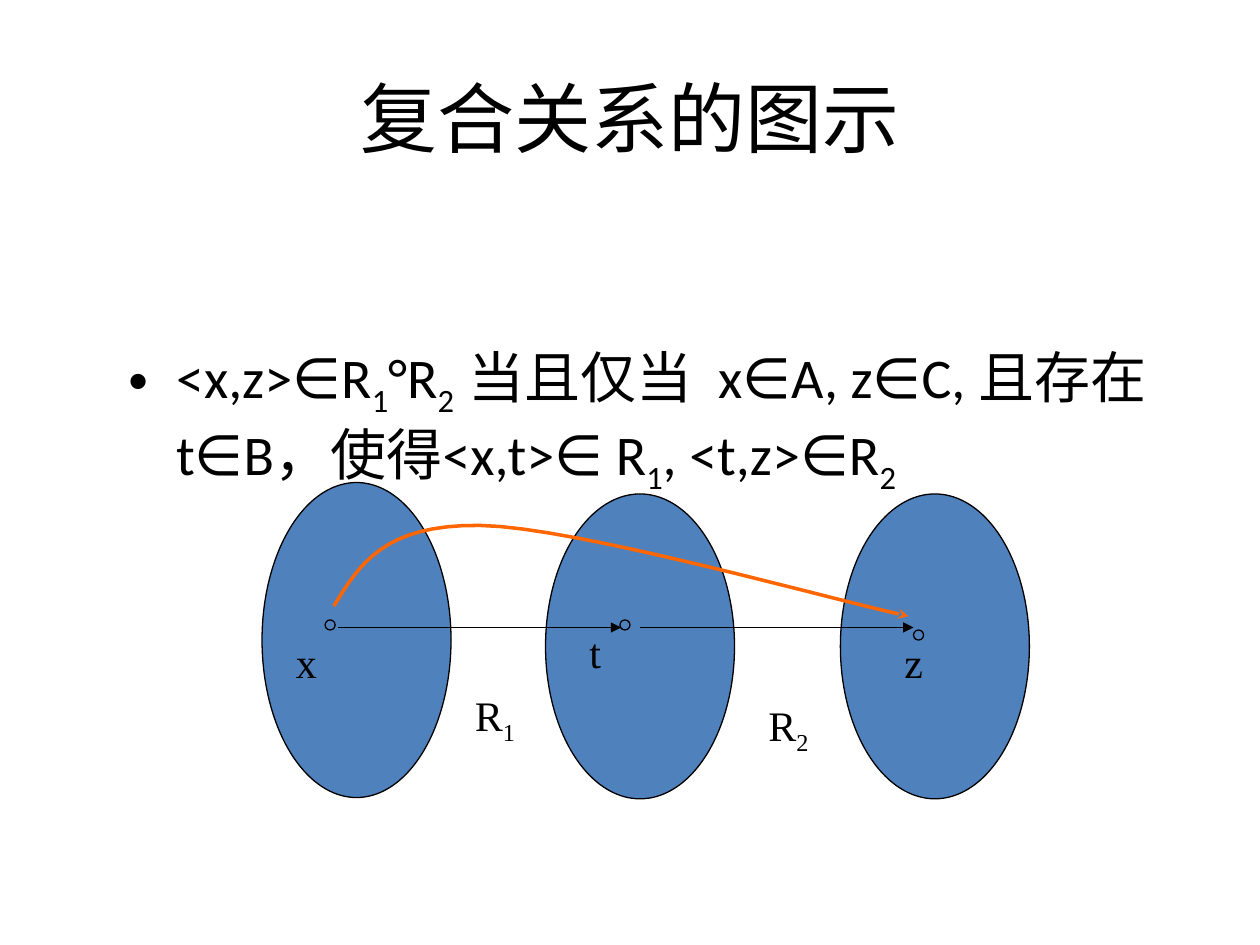
"""Build the slide that illustrates the composition of two relations."""
from dataclasses import dataclass

from lxml.etree import SubElement
from pptx import Presentation
from pptx.dml.color import RGBColor
from pptx.enum.shapes import MSO_CONNECTOR as Connector, MSO_SHAPE as Shape
from pptx.enum.text import MSO_ANCHOR as Anchor, MSO_AUTO_SIZE as AutoSize, PP_ALIGN as Align
from pptx.oxml.ns import qn
from pptx.util import Inches, Pt


@dataclass(frozen=True)
class Theme:
    ink: RGBColor = RGBColor(0, 0, 0)
    oval: RGBColor = RGBColor(0x4F, 0x81, 0xBD)
    curve: RGBColor = RGBColor(0xFF, 0x66, 0)
    main_font: str = "Calibri"
    label_font: str = "Times New Roman"
    title: int = 44
    body: int = 32
    label: int = 24
    thin: float = 0.75
    thick: float = 2


THEME = Theme()


def add_text(s, box, runs, size, font=THEME.main_font, anchor=Anchor.TOP):
    """Add a text box from (text, is_subscript) runs and return its paragraph."""
    tf = s.shapes.add_textbox(*map(Inches, box)).text_frame
    tf.word_wrap = True
    tf.auto_size = AutoSize.NONE
    tf.vertical_anchor = anchor
    p = tf.paragraphs[0]
    for text, is_sub in runs:
        r = p.add_run()
        r.text = text
        r.font.size = Pt(size)
        r.font.name = font
        r.font.color.rgb = THEME.ink
        if is_sub:
            r.font._element.set("baseline", "-25000")
    return p


def add_label(s, x, y, width, text, sub=""):
    """Add a diagram label with an optional subscript."""
    runs = [(text, False)] + ([(sub, True)] if sub else [])
    add_text(s, (x, y, width, 0.5), runs, THEME.label, THEME.label_font)


def add_bullet(p, indent):
    """Give a paragraph a hanging round bullet."""
    pPr = p._p.get_or_add_pPr()
    pPr.set("marL", str(Inches(indent)))
    pPr.set("indent", str(Inches(-indent)))
    SubElement(pPr, qn("a:buFont"), typeface="Arial")
    SubElement(pPr, qn("a:buChar"), char="•")


def style_line(line, color, width):
    """Set the colour and width of a line."""
    line.color.rgb = color
    line.width = Pt(width)


def add_oval(s, x, y, width, height):
    """Add a filled, outlined ellipse."""
    sp = s.shapes.add_shape(Shape.OVAL, *map(Inches, (x, y, width, height)))
    sp.shadow.inherit = False
    sp.fill.solid()
    sp.fill.fore_color.rgb = THEME.oval
    style_line(sp.line, THEME.ink, THEME.thin)


def add_head(sp, kind):
    """Put an arrowhead at the end of a line."""
    SubElement(sp.line._get_or_add_ln(), qn("a:tailEnd"), type=kind)


def add_arrow(s, x1, x2, y):
    """Add a thin horizontal arrow."""
    sp = s.shapes.add_connector(Connector.STRAIGHT, *map(Inches, (x1, y, x2, y)))
    style_line(sp.line, THEME.ink, THEME.thin)
    add_head(sp, "triangle")
    SubElement(sp._element.spPr, qn("a:effectLst"))


def bezier(points, t):
    """Return the point at t on a cubic curve."""
    weights = ((1 - t) ** 3, 3 * t * (1 - t) ** 2, 3 * t * t * (1 - t), t ** 3)
    return tuple(sum(w * pt[axis] for w, pt in zip(weights, points)) for axis in (0, 1))


def add_curve(s, knots, steps=16):
    """Add an open arrow along joined cubic curves."""
    points = [bezier(knots[i:i + 4], n / steps)
              for i in range(0, len(knots) - 1, 3) for n in range(1, steps + 1)]
    builder = s.shapes.build_freeform(*map(Inches, knots[0]))
    builder.add_line_segments([tuple(map(Inches, pt)) for pt in points], close=False)
    sp = builder.convert_to_shape()
    sp.shadow.inherit = False
    sp.fill.background()
    style_line(sp.line, THEME.curve, THEME.thick)
    add_head(sp, "stealth")


def main():
    """Build and save the slide."""
    prs = Presentation()
    prs.slide_width, prs.slide_height = Inches(10), Inches(7.5)
    s = prs.slides.add_slide(prs.slide_layouts[6])

    title = add_text(s, (0.5, 0.3, 9, 1.25), [("复合关系的图示", False)],
                     THEME.title, anchor=Anchor.MIDDLE)
    title.alignment = Align.CENTER
    definition = [
        ("<x,z>∈R", False), ("1", True), ("°R", False), ("2  ", True),
        ("当且仅当  x∈A, z∈C, 且存在t∈B，使得<x,t>∈ R", False), ("1", True),
        (", <t,z>∈R", False), ("2", True),
    ]
    add_bullet(add_text(s, (0.92, 2.67, 8.5, 4.1), definition, THEME.body), 0.38)

    for x, y, height in ((2.08, 3.83, 2.5), (4.33, 3.92, 2.42), (6.67, 3.92, 2.42)):
        add_oval(s, x, y, 1.5, height)
    elements = (("x", 2.58, 4.92, 2.25, 5), ("t", 4.92, 4.92, 4.58, 4.92),
                ("z", 7.25, 5, 7.08, 5))
    for name, dot_x, dot_y, label_x, label_y in elements:
        add_oval(s, dot_x, dot_y, 0.08, 0.08)
        add_label(s, label_x, label_y, 0.58, name)

    for x1, x2 in ((2.68, 4.93), (5.08, 7.25)):
        add_arrow(s, x1, x2, 4.98)
    add_label(s, 3.67, 5.42, 0.75, "R", "1")
    add_label(s, 6, 5.5, 0.58, "R", "2")
    add_curve(s, [(2.65, 4.81), (2.85, 4.48), (3.05, 4.16), (3.81, 4.17),
                  (4.57, 4.18), (6.64, 4.77), (7.21, 4.89)])

    prs.save("out.pptx")


if __name__ == "__main__":
    main()
